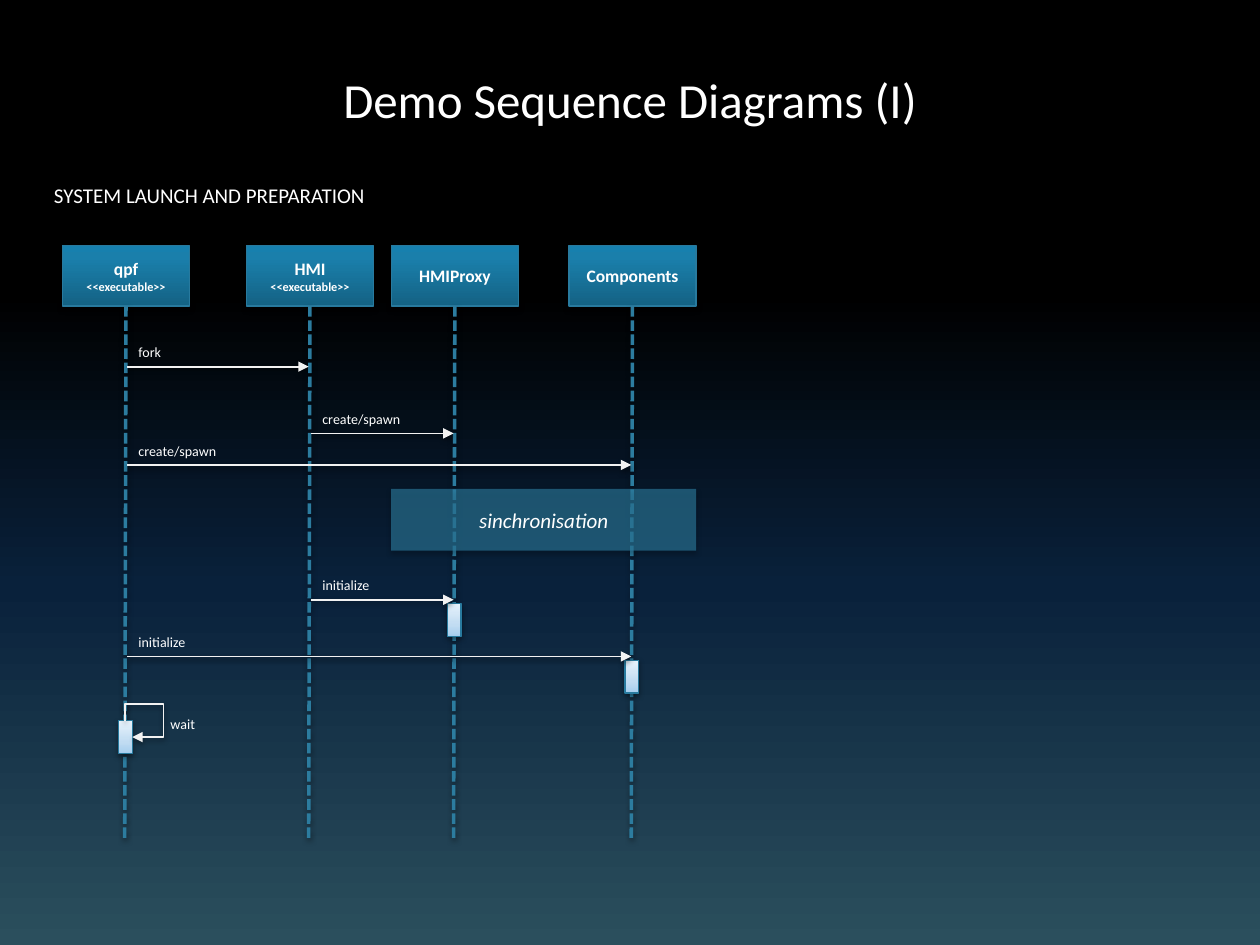
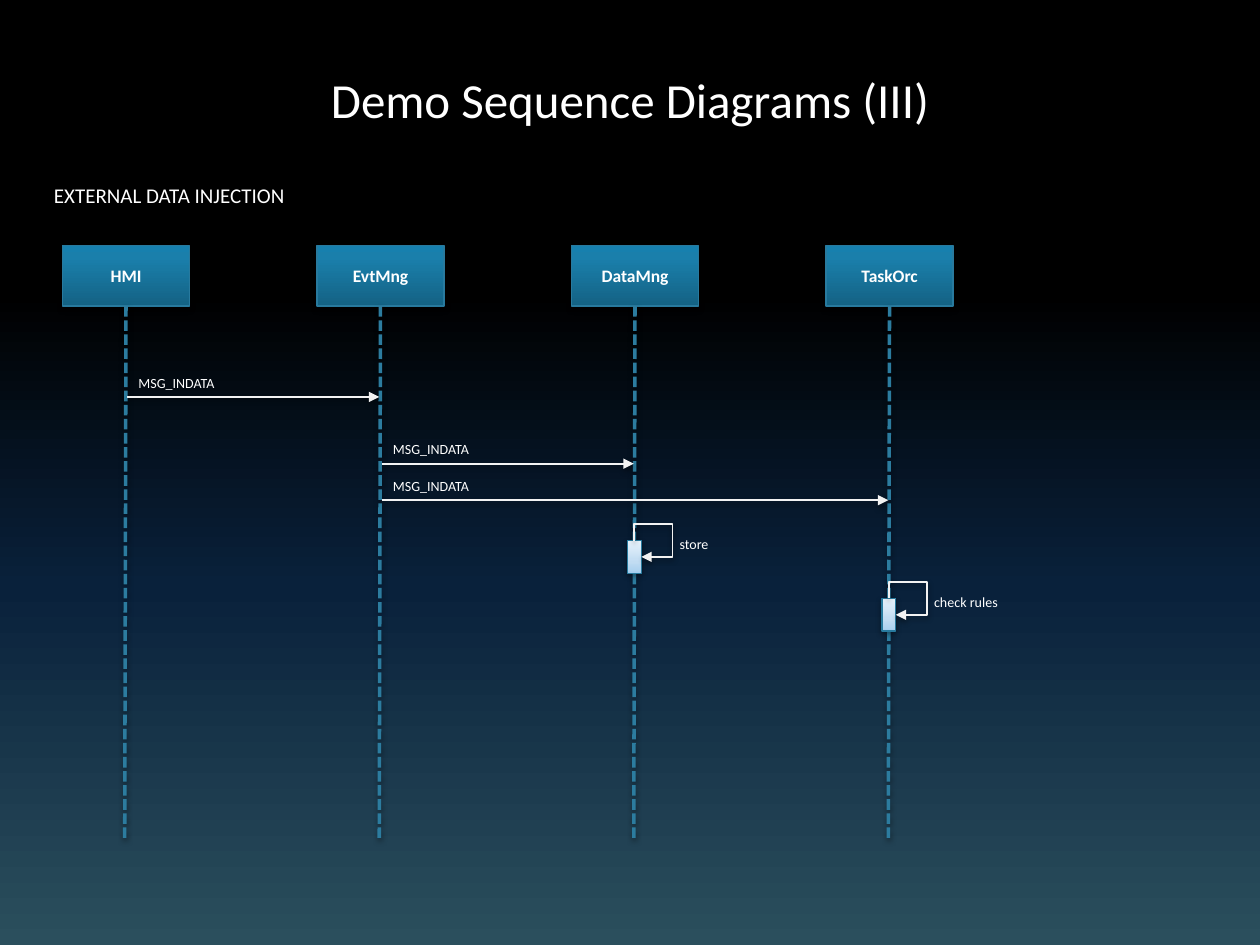
from dataclasses import dataclass
from typing import Any

from lxml.etree import SubElement
from pptx import Presentation
from pptx.dml.color import RGBColor
from pptx.enum.dml import MSO_LINE
from pptx.enum.shapes import MSO_CONNECTOR, MSO_SHAPE
from pptx.enum.text import MSO_ANCHOR, MSO_AUTO_SIZE, PP_ALIGN
from pptx.oxml.ns import qn
from pptx.util import Emu, Inches, Pt

RECT = MSO_SHAPE.RECTANGLE
STRAIGHT, ELBOW = MSO_CONNECTOR.STRAIGHT, MSO_CONNECTOR.ELBOW
DASH = MSO_LINE.SQUARE_DOT
TOP, MIDDLE = MSO_ANCHOR.TOP, MSO_ANCHOR.MIDDLE
LEFT, CENTER = PP_ALIGN.LEFT, PP_ALIGN.CENTER
FIT, FIXED = MSO_AUTO_SIZE.SHAPE_TO_FIT_TEXT, MSO_AUTO_SIZE.NONE

# Colours
WHITE = RGBColor(0xFF, 0xFF, 0xFF)
PALE = RGBColor(0xF2, 0xF2, 0xF2)
BLACK = RGBColor(0x00, 0x00, 0x00)
NAVY = RGBColor(0x09, 0x21, 0x3B)
SLATE = RGBColor(0x2B, 0x4F, 0x5D)
TEAL = RGBColor(0x2C, 0x7C, 0x9F)
EDGE = RGBColor(0x28, 0x7A, 0x9E)

Stops = list[tuple[int, RGBColor]]
NIGHT: Stops = [(0, BLACK), (31, BLACK), (62, NAVY), (100, SLATE)]
DEEP: Stops = [(0, RGBColor(0x14, 0x62, 0x84)), (80, RGBColor(0x1A, 0x7F, 0xAB)),
               (100, RGBColor(0x17, 0x80, 0xAE))]
ICE: Stops = [(0, RGBColor(0xA6, 0xCE, 0xEE)), (35, RGBColor(0xC1, 0xDC, 0xF2)),
              (100, RGBColor(0xE7, 0xF2, 0xFB))]

# Text formats
BASE = {"name": "Calibri", "bold": False, "italic": False}
TITLE = BASE | {"size": Pt(28)}
HEAD = BASE | {"size": Pt(12)}
NAME = BASE | {"size": Pt(10), "bold": True}
ROLE = NAME | {"size": Pt(7)}
LABEL = BASE | {"size": Pt(8)}
NOTE = HEAD | {"italic": True}

# Grid: 100 columns by 75 rows of square cells
WIDE, HIGH = Inches(10), Inches(7.5)
CELL = WIDE / 100
BOX_W, BOX_H, BOX_Y = 10.1, 4.8, 19.5
FOOT = 66.5
BAR_W, BAR_H = 1.1, 2.6
TEXT_H = 2.4


@dataclass(frozen=True)
class Actor:
    name: str
    x: float
    role: str = ""


@dataclass(frozen=True)
class Call:
    text: str
    start: int
    end: int
    y: float
    wide: float
    bar: bool = False


@dataclass(frozen=True)
class Loop:
    text: str
    actor: int
    y: float
    wide: float


@dataclass(frozen=True)
class Band:
    text: str
    first: int
    last: int
    y: float


@dataclass(frozen=True)
class Scene:
    title: str
    head: str
    wide: float
    actors: list[Actor]
    calls: list[Call]
    loops: list[Loop]
    bands: list[Band]


SCENES = [
    Scene("Demo Sequence Diagrams (I)", "SYSTEM LAUNCH AND PREPARATION", 29.3,
          [Actor("qpf", 10, "<<executable>>"), Actor("HMI", 24.6, "<<executable>>"),
           Actor("HMIProxy", 36.1), Actor("Components", 50.2)],
          [Call("fork", 0, 1, 29.1, 3.9), Call("create/spawn", 1, 2, 34.4, 8.2),
           Call("create/spawn", 0, 3, 36.9, 8.4),
           Call("initialize", 1, 2, 47.6, 5.9, True),
           Call("initialize", 0, 3, 52.1, 5.9, True)],
          [Loop("wait", 0, 57.2, 4)],
          [Band("sinchronisation", 2, 3, 38.8)]),
    Scene("Demo Sequence Diagrams (III)", "EXTERNAL DATA INJECTION", 22.5,
          [Actor(name, 10 + 20.2 * i)
           for i, name in enumerate(["HMI", "EvtMng", "DataMng", "TaskOrc"])],
          [Call("MSG_INDATA", 0, 1, 31.5, 8.6), Call("MSG_INDATA", 1, 2, 36.8, 8.6),
           Call("MSG_INDATA", 1, 3, 39.7, 8.6)],
          [Loop("store", 2, 42.9, 4.4), Loop("check rules", 3, 47.5, 7.2)],
          []),
]


def grid(*cells: float) -> list[Emu]:
    return [Emu(round(n * CELL)) for n in cells]


def shade(fill: Any, root: Any, stops: Stops, angle: int) -> None:
    """Give a fill its gradient stops; the angle runs anticlockwise."""
    fill.gradient()
    fill.gradient_angle = angle
    slots = root.find(".//" + qn("a:gsLst"))
    slots.clear()
    for spot, color in stops:
        slot = SubElement(slots, qn("a:gs"), pos=str(spot * 1000))
        SubElement(slot, qn("a:srgbClr"), val=str(color))


def glow(props: Any, alpha: int = 38, drop: float = 1.6) -> None:
    """Add a soft black shadow straight below."""
    effects = props.find(qn("a:effectLst"))
    if effects is None:
        effects = SubElement(props, qn("a:effectLst"))
    outer = SubElement(effects, qn("a:outerShdw"), blurRad=str(Pt(3.1)),
                       dist=str(Pt(drop)), dir="5400000", rotWithShape="0")
    tint = SubElement(outer, qn("a:srgbClr"), val=str(BLACK))
    SubElement(tint, qn("a:alpha"), val=str(alpha * 1000))


def write(frame: Any, lines: list[tuple[str, dict]], align: Any, anchor: Any) -> None:
    frame.vertical_anchor = anchor
    for i, (text, style) in enumerate(lines):
        para = frame.add_paragraph() if i else frame.paragraphs[0]
        para.alignment = align
        run = para.add_run()
        run.text = text
        run.font.color.rgb = WHITE
        for key, value in style.items():
            setattr(run.font, key, value)


def label(slide: Any, text: str, x: float, y: float, wide: float,
          style: dict = LABEL, high: float = TEXT_H) -> None:
    frame = slide.shapes.add_textbox(*grid(x, y, wide, high)).text_frame
    frame.word_wrap = False
    frame.auto_size = FIT
    write(frame, [(text, style)], LEFT, TOP)


def block(shapes: Any, x: float, y: float, wide: float, high: float,
          stops: Stops) -> Any:
    """Draw a gradient rectangle with a thin edge."""
    shape = shapes.add_shape(RECT, *grid(x, y, wide, high))
    shape.shadow.inherit = False
    shade(shape.fill, shape._element, stops, 90)
    shape.line.color.rgb = EDGE
    shape.line.width = Pt(0.75)
    return shape


def ink(link: Any, color: RGBColor, width: float, head: bool = True) -> None:
    """Style a connector as an arrow or as a dashed line."""
    link.line.color.rgb = color
    link.line.width = Pt(width)
    if head:
        SubElement(link.line._get_or_add_ln(), qn("a:tailEnd"), type="triangle")
    else:
        link.line.dash_style = DASH
    glow(link._element.spPr)


def life(slide: Any, actor: Actor) -> None:
    shapes = slide.shapes.add_group_shape().shapes
    box = block(shapes, actor.x - BOX_W / 2, BOX_Y, BOX_W, BOX_H, DEEP)
    glow(box._element.spPr, 35, 1.8)
    lines = [(actor.name, NAME)]
    if actor.role:
        lines.append((actor.role, ROLE))
    write(box.text_frame, lines, CENTER, MIDDLE)
    stem = shapes.add_connector(
        STRAIGHT, *grid(actor.x, BOX_Y + BOX_H, actor.x - 0.1, FOOT))
    ink(stem, TEAL, 2, head=False)


def pulse(slide: Any, x: float, y: float) -> Any:
    """Draw an activation bar on a lifeline."""
    bar = block(slide.shapes, x - BAR_W / 2, y, BAR_W, BAR_H, ICE)
    glow(bar._element.spPr)
    return bar


def send(slide: Any, call: Call, actors: list[Actor]) -> None:
    start, end = actors[call.start].x, actors[call.end].x
    if call.bar:
        pulse(slide, end - 0.05, call.y + 0.3)
    arrow = slide.shapes.add_connector(
        STRAIGHT, *grid(start + 0.1, call.y, end - 0.1, call.y))
    ink(arrow, PALE, 1)
    label(slide, call.text, start, call.y - 2.3, call.wide)


def turn(slide: Any, loop: Loop, actors: list[Actor]) -> None:
    """Draw a call that returns to its own lifeline."""
    x, y = actors[loop.actor].x - 0.05, loop.y
    bar = pulse(slide, x, y)
    wide, high = BAR_H / 2, BAR_W / 2
    left, top = x + (high - wide) / 2, y + (wide - high) / 2
    arrow = slide.shapes.add_connector(
        ELBOW, *grid(left, top, left + wide, top + high))
    arrow.begin_connect(bar, 0)
    arrow.end_connect(bar, 3)
    arrow.left, arrow.top, arrow.width, arrow.height = grid(left, top, wide, high)
    props = arrow._element.spPr
    frame = props.find(qn("a:xfrm"))
    for key, value in {"rot": "16200000", "flipH": "1", "flipV": "0"}.items():
        frame.set(key, value)
    form = props.find(qn("a:prstGeom"))
    form.set("prst", "bentConnector4")
    guides = form.find(qn("a:avLst"))
    for key, value in {"adj1": -101700, "adj2": 548600}.items():
        SubElement(guides, qn("a:gd"), name=key, fmla=f"val {value}")
    ink(arrow, PALE, 1)
    label(slide, loop.text, x + 2.6, y - 0.9, loop.wide)


def cover(slide: Any, band: Band, actors: list[Actor]) -> None:
    """Lay a translucent band across several lifelines."""
    left = actors[band.first].x - BOX_W / 2
    right = actors[band.last].x + BOX_W / 2
    shape = slide.shapes.add_shape(RECT, *grid(left, band.y, right - left, 4.9))
    shape.shadow.inherit = False
    shape.fill.solid()
    shape.fill.fore_color.rgb = TEAL
    tint = shape._element.spPr.find(qn("a:solidFill")).find(qn("a:srgbClr"))
    SubElement(tint, qn("a:alpha"), val="62000")
    shape.line.fill.background()
    glow(shape._element.spPr, 35, 1.8)
    write(shape.text_frame, [(band.text, NOTE)], CENTER, MIDDLE)


def stage(deck: Any, scene: Scene) -> None:
    slide = deck.slides.add_slide(deck.slide_layouts[5])
    # Title and heading
    title = slide.shapes.title
    title.left, title.top, title.width, title.height = grid(5, 5, 90, 12.5)
    title.text_frame.auto_size = FIXED
    write(title.text_frame, [(scene.title, TITLE)], CENTER, TOP)
    label(slide, scene.head, 3.3, 14, scene.wide, HEAD, 3)
    # Diagram
    for actor in scene.actors:
        life(slide, actor)
    for parts, draw in ((scene.calls, send), (scene.loops, turn), (scene.bands, cover)):
        for part in parts:
            draw(slide, part, scene.actors)


def main() -> None:
    deck = Presentation()
    deck.slide_width, deck.slide_height = WIDE, HIGH
    master = deck.slide_master
    shade(master.background.fill, master.element, NIGHT, 270)
    for scene in SCENES:
        stage(deck, scene)
    deck.save("out.pptx")


if __name__ == "__main__":
    main()
